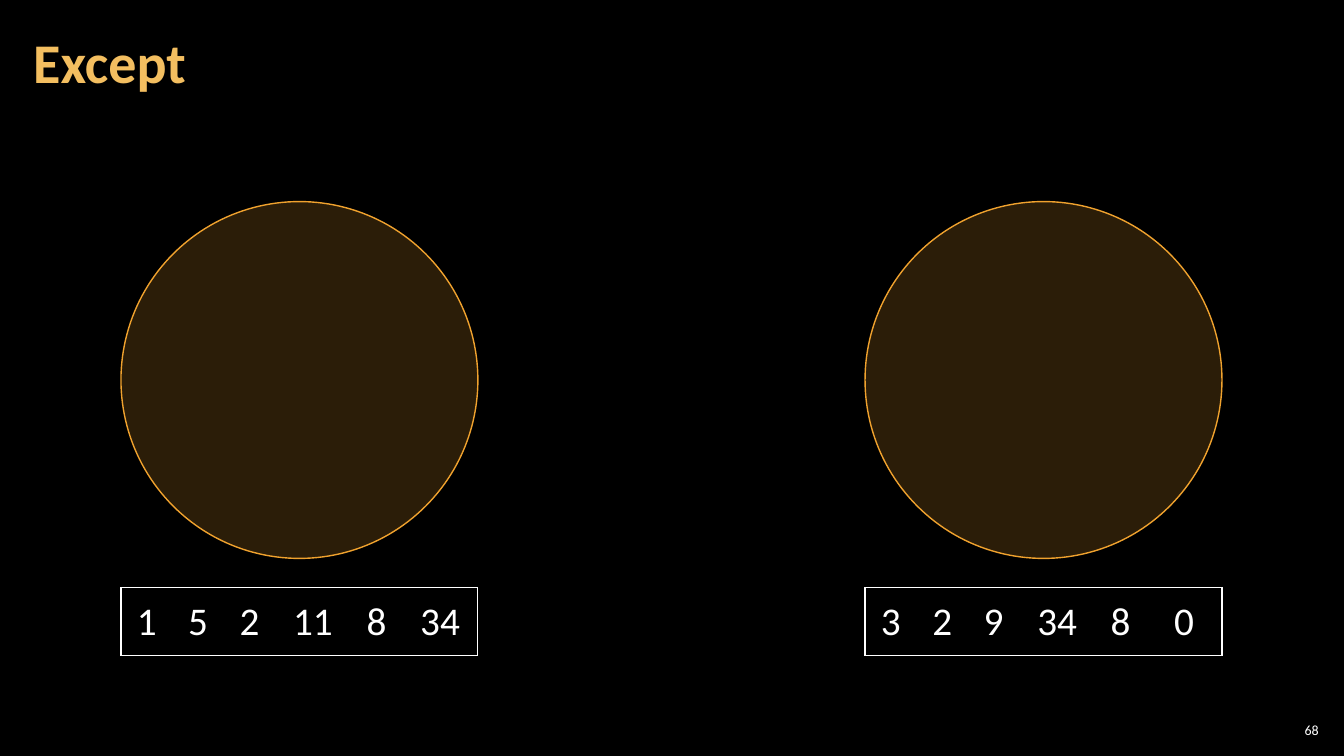
from lxml import etree
from pptx import Presentation
from pptx.dml.color import RGBColor
from pptx.enum.shapes import MSO_SHAPE
from pptx.enum.text import MSO_ANCHOR, PP_ALIGN
from pptx.oxml.ns import qn
from pptx.util import Emu, Pt

EMU_PER_PX = 9144
BLACK = RGBColor(0x00, 0x00, 0x00)
WHITE = RGBColor(0xFF, 0xFF, 0xFF)
GOLD = RGBColor(0xF3, 0xBE, 0x60)
AMBER = RGBColor(0xF0, 0xA2, 0x2E)
OVAL = MSO_SHAPE.OVAL
MIDDLE = MSO_ANCHOR.MIDDLE
LEFT, CENTER, RIGHT = PP_ALIGN.LEFT, PP_ALIGN.CENTER, PP_ALIGN.RIGHT

DIAMETER = 354
COLUMN_WIDTHS = (51, 51, 51, 75, 51, 75)
SETS = (
    (120, ("1", "5", "2", "11", "8", "34")),
    (858, ("3", "2", "9", "34", "8", "0")),
)


def px(n):
    return Emu(n * EMU_PER_PX)


class SlideBuilder:
    """Draws styled elements on the current slide."""

    font = "Calibri"

    def __init__(self, prs):
        self.slide = prs.slides.add_slide(prs.slide_layouts[6])
        fill = self.slide.background.fill
        fill.solid()
        fill.fore_color.rgb = BLACK

    def style(self, p, text, size, color, align, bold=False, spacing=1.0):
        p.text = text
        p.alignment = align
        p.line_spacing = spacing
        p.font.name = self.font
        p.font.size = Pt(size)
        p.font.bold = bold
        p.font.color.rgb = color

    def margins(self, box, side, end):
        box.margin_left = box.margin_right = px(side)
        box.margin_top = box.margin_bottom = px(end)
        box.vertical_anchor = MIDDLE

    def text(self, x, y, w, h, text, size, color, align, side=4, **options):
        tf = self.slide.shapes.add_textbox(px(x), px(y), px(w), px(h)).text_frame
        tf.word_wrap = True
        self.margins(tf, side, 4)
        self.style(tf.paragraphs[0], text, size, color, align, **options)

    def circle(self, x, y, d):
        sp = self.slide.shapes.add_shape(OVAL, px(x), px(y), px(d), px(d))
        sp.shadow.inherit = False
        sp.fill.solid()
        sp.fill.fore_color.rgb = AMBER
        color = sp.fill._xPr.find(qn("a:solidFill"))[0]
        etree.SubElement(color, qn("a:alpha"), val="18000")
        sp.line.color.rgb = AMBER
        sp.line.width = Pt(1)

    def borders(self, cell, visible):
        tc_pr = cell._tc.get_or_add_tcPr()
        for i, side in enumerate("LRTB"):
            ln = etree.Element(qn(f"a:ln{side}"), w=str(Pt(1)))
            if side in visible:
                fill = etree.SubElement(ln, qn("a:solidFill"))
                etree.SubElement(fill, qn("a:srgbClr"), val=str(WHITE))
            else:
                etree.SubElement(ln, qn("a:noFill"))
            tc_pr.insert(i, ln)

    def number_row(self, x, y, h, values):
        frame = self.slide.shapes.add_table(
            1, len(values), px(x), px(y), px(sum(COLUMN_WIDTHS)), px(h))
        table = frame.table
        table.first_row = table.horz_banding = False
        table.rows[0].height = px(h)
        last = len(values) - 1
        for i, (value, width) in enumerate(zip(values, COLUMN_WIDTHS)):
            table.columns[i].width = px(width)
            cell = table.cell(0, i)
            cell.fill.background()
            self.margins(cell, 13, 5)
            self.borders(cell, "TB" + "L" * (i == 0) + "R" * (i == last))
            self.style(cell.text_frame.paragraphs[0], value, 28, WHITE,
                       CENTER, spacing=0.95)


def main():
    prs = Presentation()
    prs.slide_width, prs.slide_height = px(1333), px(750)
    s = SlideBuilder(prs)
    s.text(1265, 714, 47, 21, "68", 10, WHITE, RIGHT)
    s.text(21, 4, 1047, 121, "Except", 40, GOLD, LEFT, side=12,
           bold=True, spacing=0.9)
    for x, values in SETS:
        s.circle(x, 200, DIAMETER)
        s.number_row(x, 583, 67, values)
    prs.save("out.pptx")


if __name__ == "__main__":
    main()
